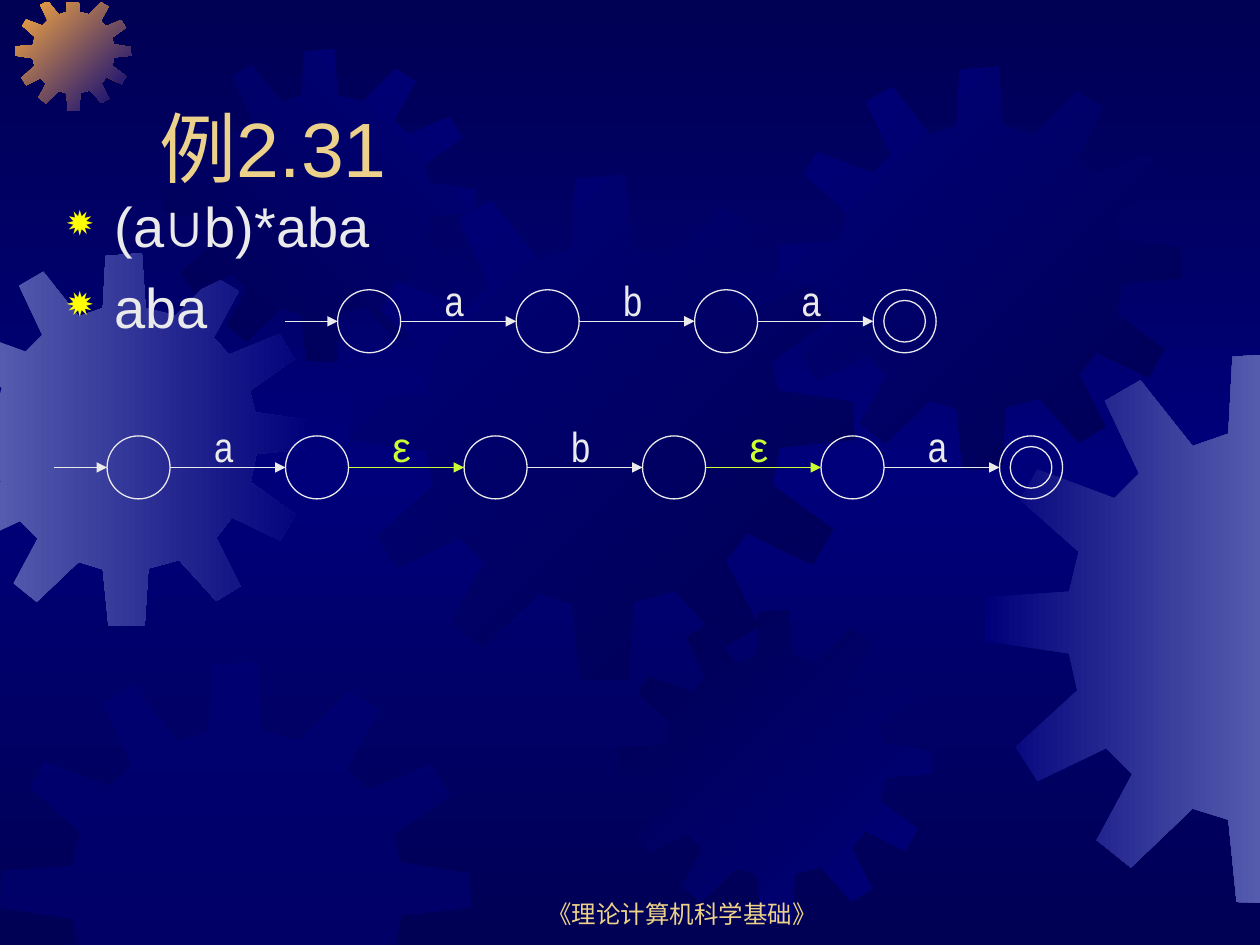
"""Builds the finite automata slide for example 2.31."""
from copy import deepcopy

from lxml.etree import SubElement
from pptx import Presentation
from pptx.dml.color import RGBColor
from pptx.enum.shapes import MSO_CONNECTOR as Connector, MSO_SHAPE as Shape
from pptx.enum.text import MSO_ANCHOR as Anchor, MSO_AUTO_SIZE as AutoSize, PP_ALIGN as Align
from pptx.oxml.ns import qn
from pptx.util import Inches, Pt

NAVY, BLUE, SLATE, ORANGE = "000054", "00007A", "555BAD", "FCAB40"
WHITE, GOLD, YELLOW, LIME = "EAEAEA", "EBD189", "FFFF00", "CCFF33"

GEAR_WIDTH = 4.01
GEAR_OUTLINE = [
    (2.55, 0.67), (2.23, 0.59), (2.19, 0), (1.8, 0.03), (1.77, 0.59), (1.51, 0.68),
    (1.13, 0.2), (0.87, 0.35), (1.12, 0.88), (0.94, 1.06), (0.38, 0.85), (0.25, 1.07),
    (0.68, 1.45), (0.61, 1.74), (0.01, 1.78), (0, 2.1), (0.61, 2.19), (0.67, 2.46),
    (0.22, 2.87), (0.38, 3.12), (0.88, 2.88), (1.07, 3.07), (0.81, 3.55), (1.06, 3.75),
    (1.51, 3.32), (1.77, 3.4), (1.83, 4), (2.22, 4.01), (2.26, 3.39), (2.59, 3.3),
    (2.99, 3.74), (3.25, 3.58), (2.99, 3.06), (3.16, 2.84), (3.68, 3.09), (3.84, 2.81),
    (3.36, 2.46), (3.42, 2.16), (4.01, 2.1), (4, 1.8), (3.41, 1.71), (3.35, 1.48),
    (3.83, 1.14), (3.67, 0.87), (3.13, 1.09), (2.96, 0.91), (3.23, 0.41), (2.97, 0.25),
]
PAGE_EDGES = [(0, 0, 1), (0, 10, -1), (1, 0.02, 1), (1, 7.5, -1)]
GEARS = [
    (-0.49, 2.01, 2.96, (SLATE, BLUE), 0),
    (0.12, -0.04, 0.92, (ORANGE, BLUE), 45),
    (1.3, 0.39, 2.48, (NAVY, BLUE), 315),
    (2.77, 1.39, 4.01, (BLUE, NAVY), 45),
    (0, 5.25, 3.74, (BLUE,), 0),
    (4.91, 4.84, 2.48, (NAVY, BLUE), 45),
    (6.18, 0.53, 3.2, (BLUE, NAVY), 45),
    (7.82, 2.8, 4.37, (BLUE, SLATE), 0),
]
STATE, PITCH = 0.5, 17 / 12


def color(value):
    """Turn a hex string into a colour."""
    return RGBColor.from_string(value)


def clip_to_page(points):
    """Cut a polygon along the page edges."""
    for axis, limit, sign in PAGE_EDGES:
        kept = []
        for start, end in zip(points, points[1:] + points[:1]):
            inside, ahead = (sign * (point[axis] - limit) for point in (start, end))
            if inside >= 0:
                kept.append(start)
            if inside * ahead < 0:
                part = inside / (inside - ahead)
                kept.append(tuple(a + part * (b - a) for a, b in zip(start, end)))
        points = kept
    return points


class Painter:
    """Holds the style and the current slide."""

    styles = {
        "title": {"size": Pt(44), "name": "Arial"},
        "body": {"size": Pt(32), "name": "Arial"},
        "footer": {"size": Pt(14), "name": "Arial"},
        "label": {"size": Pt(24), "name": "Arial Narrow"},
        "epsilon": {"size": Pt(24), "name": "Arial"},
    }

    def __init__(self, page):
        """Start on a page."""
        self.page = page

    def gradient(self, fill, colors, angle):
        """Fill with a two-colour gradient at a clockwise angle."""
        fill.gradient()
        fill.gradient_angle = -angle % 360
        for stop, value in zip(fill.gradient_stops, colors):
            stop.color.rgb = color(value)

    def background(self):
        """Shade the page from dark to blue and back."""
        self.gradient(self.page.background.fill, (NAVY, BLUE), 90)
        stops = self.page.element.find(".//" + qn("a:gsLst"))
        stops.append(deepcopy(stops[0]))
        for stop, position in zip(stops, ("0", "50000", "100000")):
            stop.set("pos", position)

    def gear(self, left, top, width, colors, angle):
        """Draw a gear wheel, half transparent when it has one colour."""
        scale = width / GEAR_WIDTH
        outline = clip_to_page([(left + x * scale, top + y * scale) for x, y in GEAR_OUTLINE])
        first, *rest = [(Inches(x), Inches(y)) for x, y in outline]
        builder = self.page.shapes.build_freeform(*first)
        builder.add_line_segments(rest, close=True)
        wheel = builder.convert_to_shape()
        wheel.shadow.inherit = False
        wheel.line.fill.background()
        if len(colors) == 2:
            self.gradient(wheel.fill, colors, angle)
        else:
            wheel.fill.solid()
            wheel.fill.fore_color.rgb = color(colors[0])
            tint = wheel.element.spPr.find(".//" + qn("a:srgbClr"))
            SubElement(tint, qn("a:alpha"), val="50000")

    def text(self, place, lines, style, ink, before=0, **frame_format):
        """Write lines in a box and return the box."""
        box = self.page.shapes.add_textbox(*map(Inches, place))
        frame = box.text_frame
        frame.word_wrap = True
        align = frame_format.pop("alignment", Align.LEFT)
        for name, value in frame_format.items():
            setattr(frame, name, value)
        for index, line in enumerate(lines):
            para = frame.paragraphs[0] if index == 0 else frame.add_paragraph()
            para.alignment = align
            para.space_before = Pt(before)
            span = para.add_run()
            span.text = line
            for name, value in self.styles[style].items():
                setattr(span.font, name, value)
            span.font.color.rgb = color(ink)
        return box

    def bullets(self, place, lines):
        """Write a bulleted list."""
        box = self.text(place, lines, "body", WHITE, before=8)
        for para in box.text_frame.paragraphs:
            props = para._p.get_or_add_pPr()
            props.set("marL", str(Inches(0.38)))
            props.set("indent", str(-Inches(0.38)))
            tint = SubElement(props, qn("a:buClr"))
            SubElement(tint, qn("a:srgbClr"), val=YELLOW)
            SubElement(props, qn("a:buSzPct"), val="80000")
            SubElement(props, qn("a:buChar"), char="✹")

    def circle(self, left, top, size):
        """Draw an empty circle."""
        ring = self.page.shapes.add_shape(Shape.OVAL, *map(Inches, (left, top, size, size)))
        ring.shadow.inherit = False
        ring.fill.background()
        ring.line.color.rgb = color(WHITE)
        ring.line.width = Pt(0.75)

    def arrow(self, start, end, height, ink):
        """Draw an arrow to the right."""
        ends = map(Inches, (start, height, end, height))
        link = self.page.shapes.add_connector(Connector.STRAIGHT, *ends)
        link.line.color.rgb = color(ink)
        link.line.width = Pt(0.75)
        SubElement(link.line._get_or_add_ln(), qn("a:tailEnd"), type="triangle")
        SubElement(link.element.spPr, qn("a:effectLst"))

    def automaton(self, left, top, symbols):
        """Draw a chain of states joined by symbols, the last one accepting."""
        middle = top + STATE / 2
        self.arrow(left - 0.42, left, middle, WHITE)
        for index, symbol in enumerate(symbols):
            state = left + index * PITCH
            style, ink = ("epsilon", LIME) if symbol == "ε" else ("label", WHITE)
            self.circle(state, top, STATE)
            self.arrow(state + STATE, state + PITCH, middle, ink)
            self.text((state + 0.75, top - 0.17, 0.42, 0.5), [symbol], style, ink,
                      before=15, auto_size=AutoSize.SHAPE_TO_FIT_TEXT)
        final = left + len(symbols) * PITCH
        self.circle(final, top, STATE)
        self.circle(final + 0.085, top + 0.085, 0.33)


def main():
    """Build and save the deck."""
    deck = Presentation()
    deck.slide_width, deck.slide_height = Inches(10), Inches(7.5)
    painter = Painter(deck.slides.add_slide(deck.slide_layouts[6]))
    painter.background()
    for gear in GEARS:
        painter.gear(*gear)
    painter.text((3.83, 6.92, 3.17, 0.5), ["《理论计算机科学基础》"], "footer", GOLD,
                 vertical_anchor=Anchor.BOTTOM, alignment=Align.CENTER)
    painter.text((1.17, 0.33, 8.5, 1.25), ["例2.31"], "title", GOLD,
                 vertical_anchor=Anchor.BOTTOM)
    painter.bullets((0.43, 1.47, 8.5, 4.42), ["(a∪b)*aba", "aba"])
    painter.automaton(2.68, 2.3, "aba")
    painter.automaton(0.85, 3.46, "aεbεa")
    deck.save("out.pptx")


if __name__ == "__main__":
    main()
